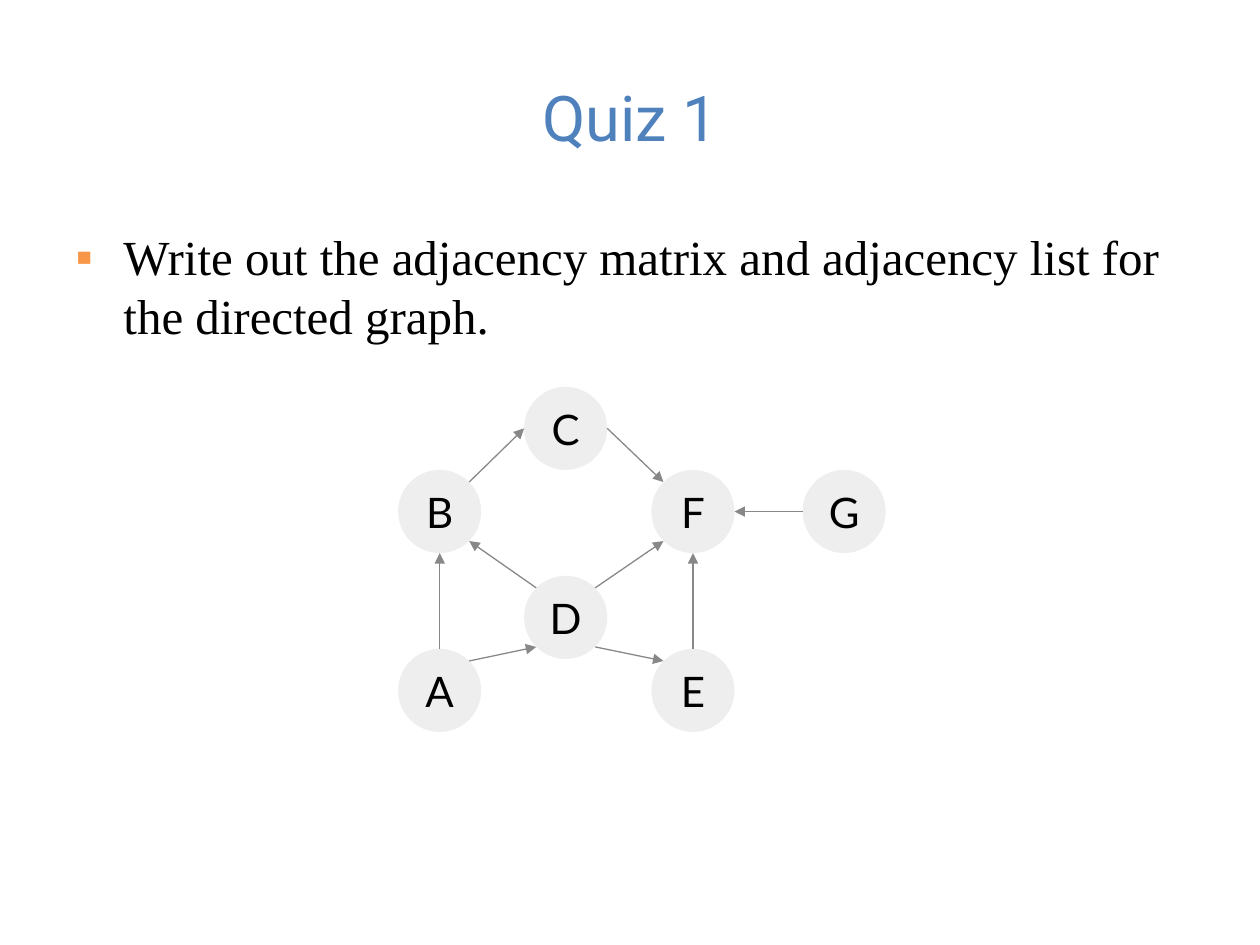
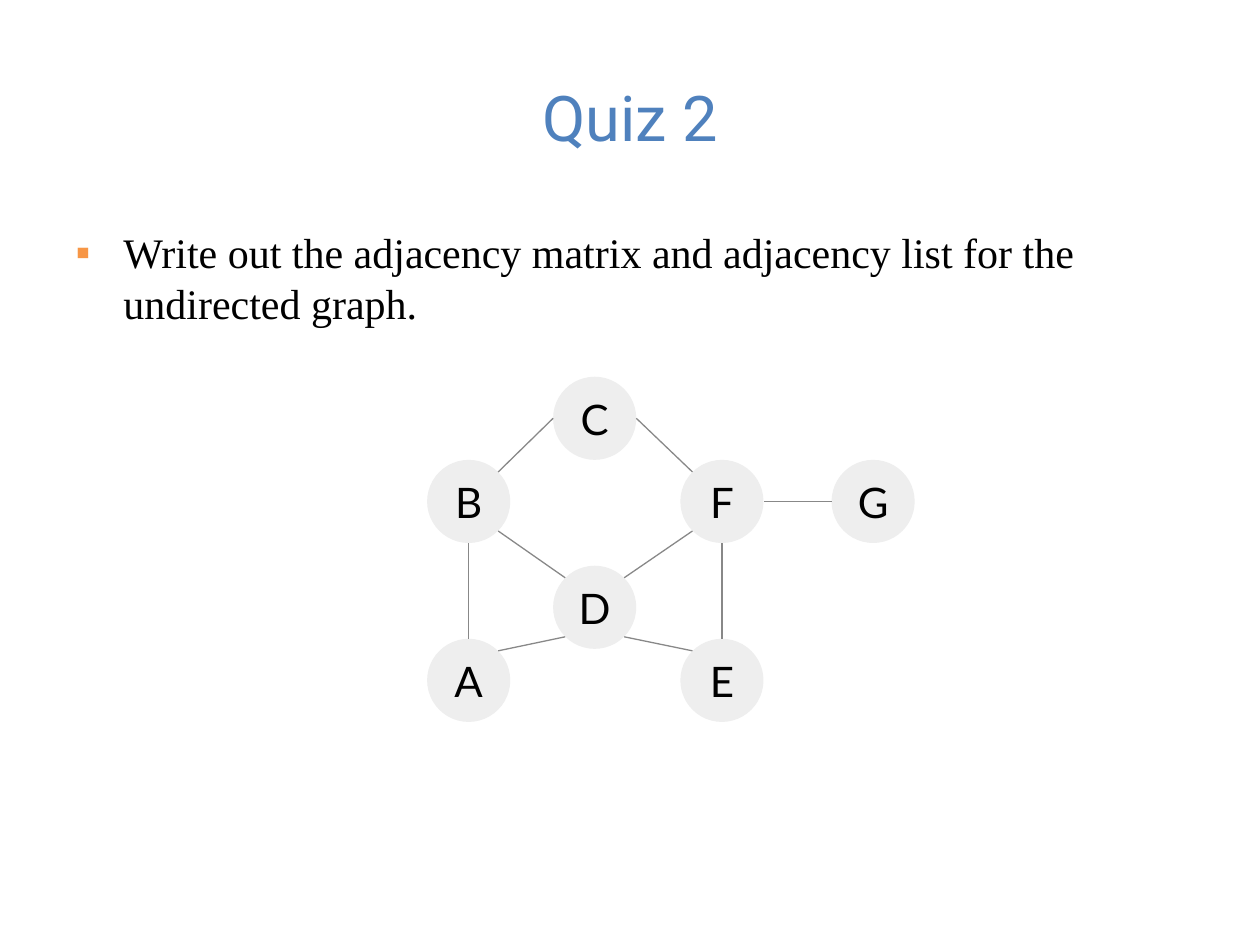
from dataclasses import dataclass
from lxml import etree
from pptx import Presentation
from pptx import util as u
from pptx.dml.color import RGBColor
from pptx.enum import shapes, text
from pptx.oxml import ns


@dataclass(frozen=True)
class Theme:
    blue: str = "4F81BD"
    orange: str = "F79646"
    black: str = "000000"
    pale: str = "EEEEEE"
    gray: str = "888888"
    head: str = "Roboto"
    body: str = "Times New Roman"
    label: str = "Lato"
    big: int = 36
    mid: int = 24
    line: float = 0.75


# The graph: circle corners from its top left, edges with compass sites
SIZE = 0.66
NODES = {"A": (0, 2.08), "B": (0, 0.66), "D": (1, 1.5), "E": (2.01, 2.08),
         "F": (2.01, 0.66), "C": (1, 0), "G": (3.21, 0.66)}
EDGES = [("A", "N", "B", "S"), ("A", "NE", "D", "SW"), ("D", "NW", "B", "SE"),
         ("B", "NE", "C", "W"), ("D", "NE", "F", "SW"), ("D", "SE", "E", "NW"),
         ("E", "N", "F", "S"), ("C", "E", "F", "NW"), ("G", "W", "F", "E")]
DIAG = 0.71
SITES = {"N": (0, -1), "S": (0, 1), "W": (-1, 0), "E": (1, 0),
         "NW": (-DIAG, -DIAG), "NE": (DIAG, -DIAG),
         "SW": (-DIAG, DIAG), "SE": (DIAG, DIAG)}


class Deck:
    def __init__(self, theme):
        self.theme = theme
        self.prs = Presentation()
        self.prs.slide_width = u.Inches(10)
        self.prs.slide_height = u.Inches(7.5)
        self.slide = None

    def start(self):
        self.slide = self.prs.slides.add_slide(self.prs.slide_layouts[1])

    def style(self, para, face, size, color):
        para.font.name = face
        para.font.size = u.Pt(size)
        para.font.color.rgb = RGBColor.from_string(color)

    def place(self, shape, top, height):
        shape.left, shape.width = u.Inches(0.5), u.Inches(9)
        shape.top, shape.height = u.Inches(top), u.Inches(height)
        shape.text_frame.auto_size = text.MSO_AUTO_SIZE.NONE

    def title(self, words):
        shape = self.slide.shapes.title
        self.place(shape, 0.3, 1.25)
        shape.text_frame.vertical_anchor = text.MSO_ANCHOR.MIDDLE
        para = shape.text_frame.paragraphs[0]
        para.text = words
        para.alignment = text.PP_ALIGN.CENTER
        self.style(para, self.theme.head, self.theme.big, self.theme.blue)

    def bullet(self, words, size):
        shape = self.slide.placeholders[1]
        self.place(shape, 1.75, 4.95)
        para = shape.text_frame.paragraphs[0]
        para.text = words
        para.space_before = u.Pt(0)
        props = para._p.get_or_add_pPr()
        props.set("marL", str(u.Inches(0.38)))
        props.set("indent", str(-u.Inches(0.38)))
        tint = etree.SubElement(props, ns.qn("a:buClr"))
        etree.SubElement(tint, ns.qn("a:srgbClr"), val=self.theme.orange)
        etree.SubElement(props, ns.qn("a:buChar"), char="▪")
        self.style(para, self.theme.body, size, self.theme.black)

    def node(self, name, left, top):
        shape = self.slide.shapes.add_shape(
            shapes.MSO_SHAPE.OVAL, u.Inches(left), u.Inches(top),
            u.Inches(SIZE), u.Inches(SIZE))
        shape.shadow.inherit = False
        shape.fill.solid()
        shape.fill.fore_color.rgb = RGBColor.from_string(self.theme.pale)
        shape.line.fill.background()
        frame = shape.text_frame
        frame.margin_left = frame.margin_right = u.Inches(0.1)
        frame.margin_top = frame.margin_bottom = u.Inches(0.1)
        frame.vertical_anchor = text.MSO_ANCHOR.MIDDLE
        para = frame.paragraphs[0]
        para.text = name
        para.alignment = text.PP_ALIGN.CENTER
        self.style(para, self.theme.label, self.theme.mid, self.theme.black)

    def edge(self, start, end, arrow):
        line = self.slide.shapes.add_connector(
            shapes.MSO_CONNECTOR.STRAIGHT, *map(u.Inches, start + end))
        line.line.color.rgb = RGBColor.from_string(self.theme.gray)
        line.line.width = u.Pt(self.theme.line)
        if arrow:
            etree.SubElement(line.line._get_or_add_ln(), ns.qn("a:tailEnd"),
                             type="triangle")
        etree.SubElement(line._element.spPr, ns.qn("a:effectLst"))

    def graph(self, left, top, arrow):
        for name, (x, y) in NODES.items():
            self.node(name, left + x, top + y)

        def site(name, side):
            (x, y), (dx, dy) = NODES[name], SITES[side]
            half = SIZE / 2
            return left + x + half * (1 + dx), top + y + half * (1 + dy)

        for tail, out, head, into in EDGES:
            self.edge(site(tail, out), site(head, into), arrow)


def main():
    deck = Deck(Theme())
    # Kind of graph, text size, top left of the graph, arrows
    quizzes = [("directed", 28, 3.16, 3.07, True),
               ("undirected", 24, 3.39, 2.99, False)]
    for count, (kind, size, left, top, arrow) in enumerate(quizzes, 1):
        deck.start()
        deck.title(f"Quiz {count}")
        deck.bullet("Write out the adjacency matrix and adjacency list "
                    f"for the {kind} graph.", size)
        deck.graph(left, top, arrow)
    deck.prs.save("out.pptx")


if __name__ == "__main__":
    main()
